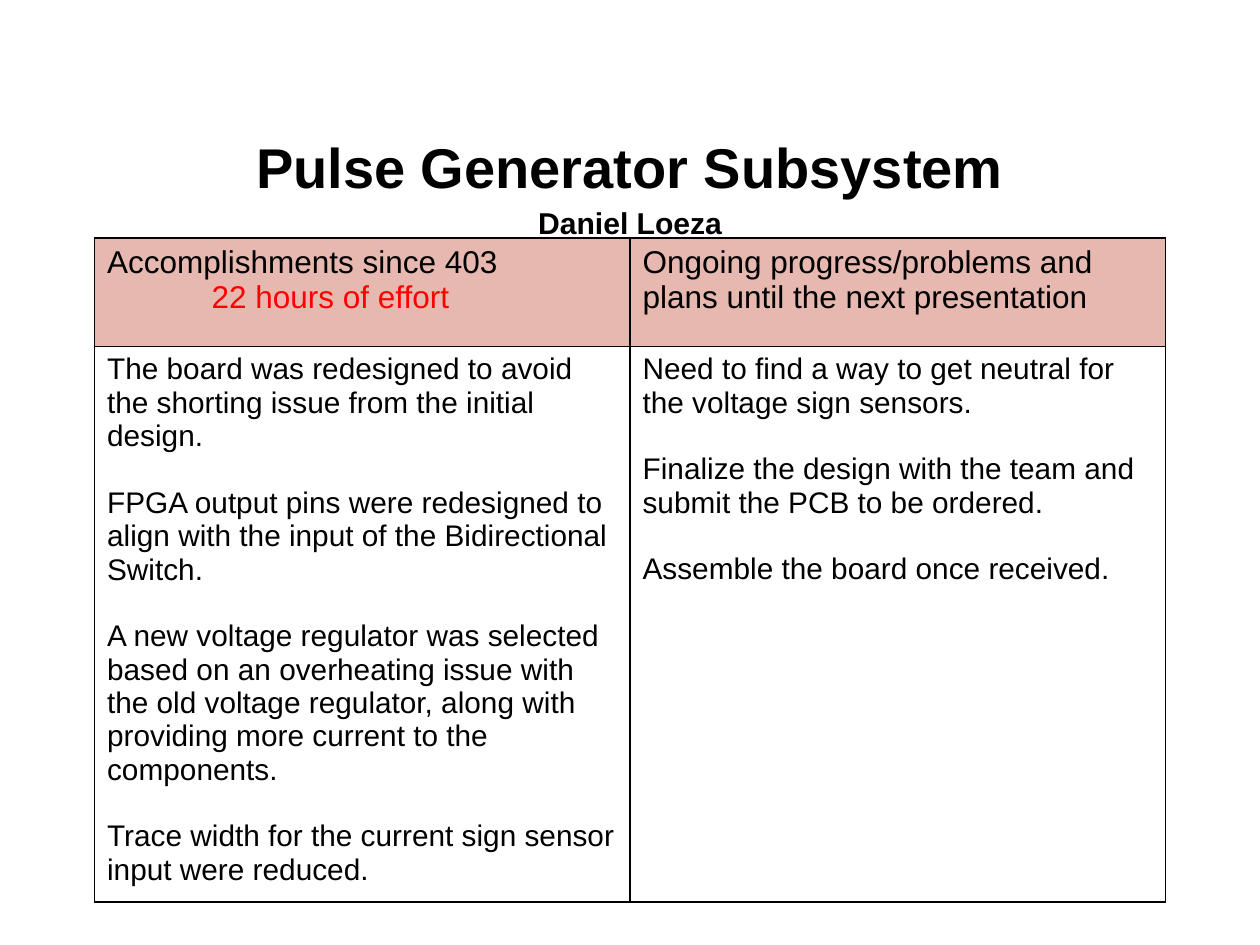
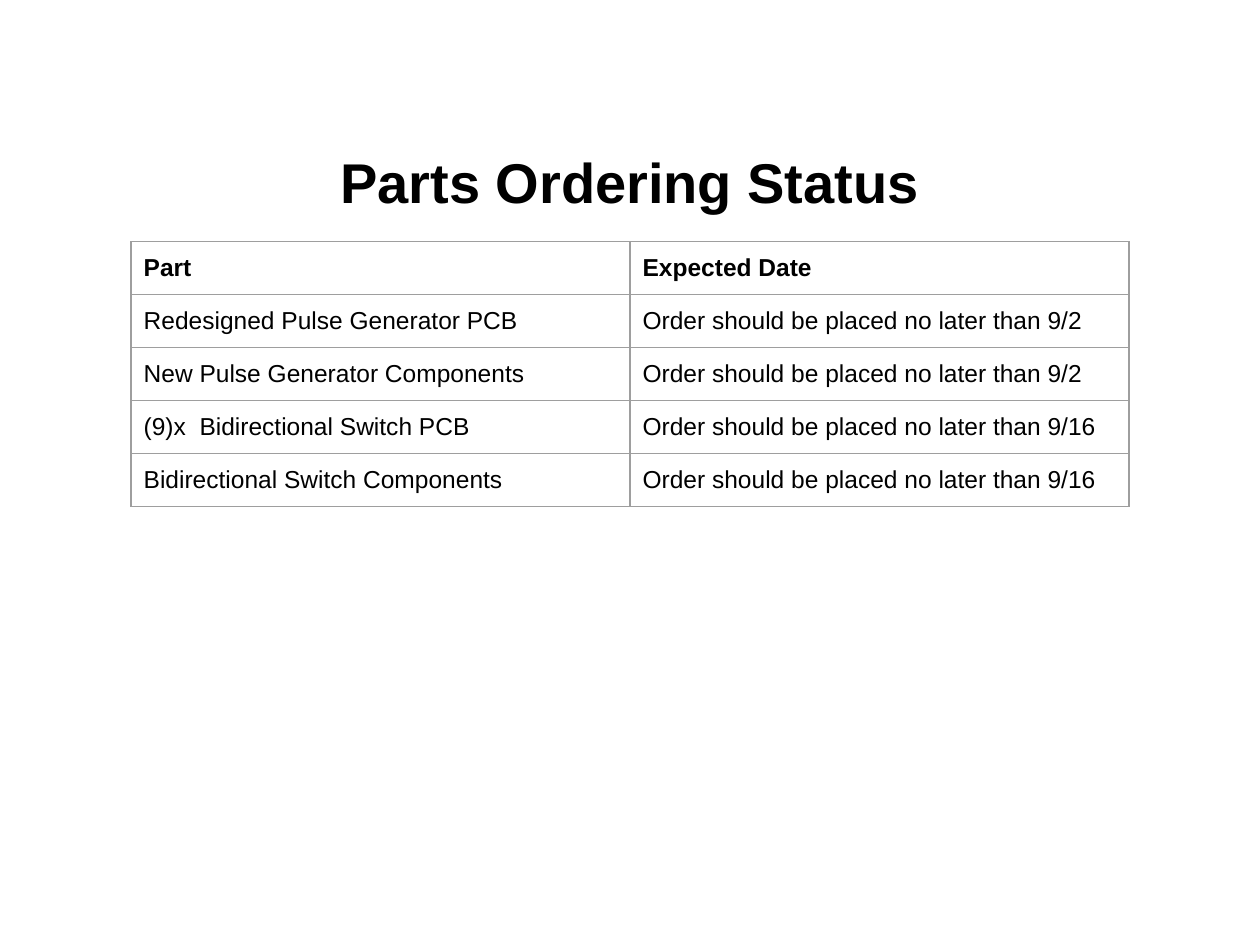
from lxml.etree import SubElement as Sub
from pptx import Presentation
from pptx.dml.color import RGBColor as RGB
from pptx.enum.text import MSO_ANCHOR as Anchor, MSO_AUTO_SIZE as Auto, PP_ALIGN as Align
from pptx.oxml.ns import qn
from pptx.util import Inches, Pt

INK = {"text": "000000", "alert": "FF0000", "head": "E6B8AF", "grid": "9E9E9E"}
FONT = "Arial"
TITLE_BOX = (0.5, 1, 9, 0.88)


def write(frame, text, size=18, color="text", bold=False, align=Align.LEFT,
          line=None, before=0, indent=0):
    """Add one formatted paragraph, using the empty first one if there is one."""
    para = frame.paragraphs[0] if not frame.text else frame.add_paragraph()
    para.alignment = align
    para.space_before = Pt(before)
    if line:
        para.line_spacing = line
    if indent:
        para._p.get_or_add_pPr().set("marL", str(Inches(indent)))
    run = para.add_run()
    run.text = text
    font = run.font
    font.name, font.size, font.bold = FONT, Pt(size), bold
    font.color.rgb = RGB.from_string(INK[color])


def add_page(deck, title, author=None):
    """Start a slide with a centred title and, below it, its author."""
    slide = deck.slides.add_slide(deck.slide_layouts[5])
    shape = slide.shapes.title
    shape.left, shape.top, shape.width, shape.height = map(Inches, TITLE_BOX)
    frame = shape.text_frame
    frame.word_wrap = True
    frame.auto_size = Auto.NONE
    frame.vertical_anchor = Anchor.MIDDLE
    line = 1.15 if author else None
    write(frame, title, size=32, bold=True, align=Align.CENTER, line=line)
    if author:
        write(frame, author, size=17.2, bold=True, align=Align.CENTER, line=line)
    return slide


def add_edges(cell, color, width):
    """Draw the four borders of a cell."""
    props = cell._tc.get_or_add_tcPr()
    for side in ("lnL", "lnR", "lnT", "lnB"):
        edge = Sub(props, qn(f"a:{side}"), w=str(Pt(width)))
        Sub(Sub(edge, qn("a:solidFill")), qn("a:srgbClr"), val=INK[color])


def add_grid(slide, box, heights, edge, width, pad):
    """Add a plain two-column table with even columns and bordered cells."""
    left, top, wide = box
    table = slide.shapes.add_table(len(heights), 2, Inches(left), Inches(top),
                                   Inches(wide), Inches(sum(heights))).table
    table.first_row = table.horz_banding = False
    for row, high in zip(table.rows, heights):
        row.height = Inches(high)
    for cell in table.iter_cells():
        cell.margin_left = cell.margin_right = Inches(0.1)
        cell.margin_top = cell.margin_bottom = Inches(pad)
        add_edges(cell, edge, width)
        cell.fill.background()
    return table


def add_status(slide, box, heads, notes):
    """Two tinted headings over two columns of spaced notes."""
    table = add_grid(slide, box, (0.86, 4.41), "text", 1, 0.05)
    for col, (head, items) in enumerate(zip(heads, notes)):
        cell = table.cell(0, col)
        cell.fill.solid()
        cell.fill.fore_color.rgb = RGB.from_string(INK["head"])
        for text, style in head:
            write(cell.text_frame, text, **style)
        body = table.cell(1, col).text_frame
        for pos, text in enumerate(items):
            write(body, text, size=17, before=19 if pos else 0)


def add_orders(slide, box, rows):
    """Parts and dates, with a bold first row."""
    table = add_grid(slide, box, [0.42] * len(rows), "grid", 0.75, 0.1)
    for r, row in enumerate(rows):
        for c, text in enumerate(row):
            write(table.cell(r, c).text_frame, text, size=14, bold=r == 0)


def main():
    deck = Presentation()
    deck.slide_width, deck.slide_height = Inches(10), Inches(7.5)

    # Subsystem progress
    slide = add_page(deck, "Pulse Generator Subsystem", "Daniel Loeza")
    heads = (
        [("Accomplishments since 403", {}),
         ("22 hours of effort", {"color": "alert", "indent": 0.83})],
        [("Ongoing progress/problems and plans until the next presentation", {})],
    )
    done = (
        "The board was redesigned to avoid the shorting issue from the initial design.",
        "FPGA output pins were redesigned to align with the input of the "
        "Bidirectional Switch.",
        "A new voltage regulator was selected based on an overheating issue with the "
        "old voltage regulator, along with providing more current to the components.",
        "Trace width for the current sign sensor input were reduced.",
    )
    plans = (
        "Need to find a way to get neutral for the voltage sign sensors.",
        "Finalize the design with the team and submit the PCB to be ordered.",
        "Assemble the board once received.",
    )
    add_status(slide, (0.75, 1.89, 8.5), heads, (done, plans))

    # Parts orders
    slide = add_page(deck, "Parts Ordering Status")
    due = "Order should be placed no later than "
    add_orders(slide, (1.04, 1.92, 7.92), [
        ("Part", "Expected Date"),
        ("Redesigned Pulse Generator PCB", due + "9/2"),
        ("New Pulse Generator Components", due + "9/2"),
        ("(9)x  Bidirectional Switch PCB", due + "9/16"),
        ("Bidirectional Switch Components", due + "9/16"),
    ])

    deck.save("out.pptx")


if __name__ == "__main__":
    main()
